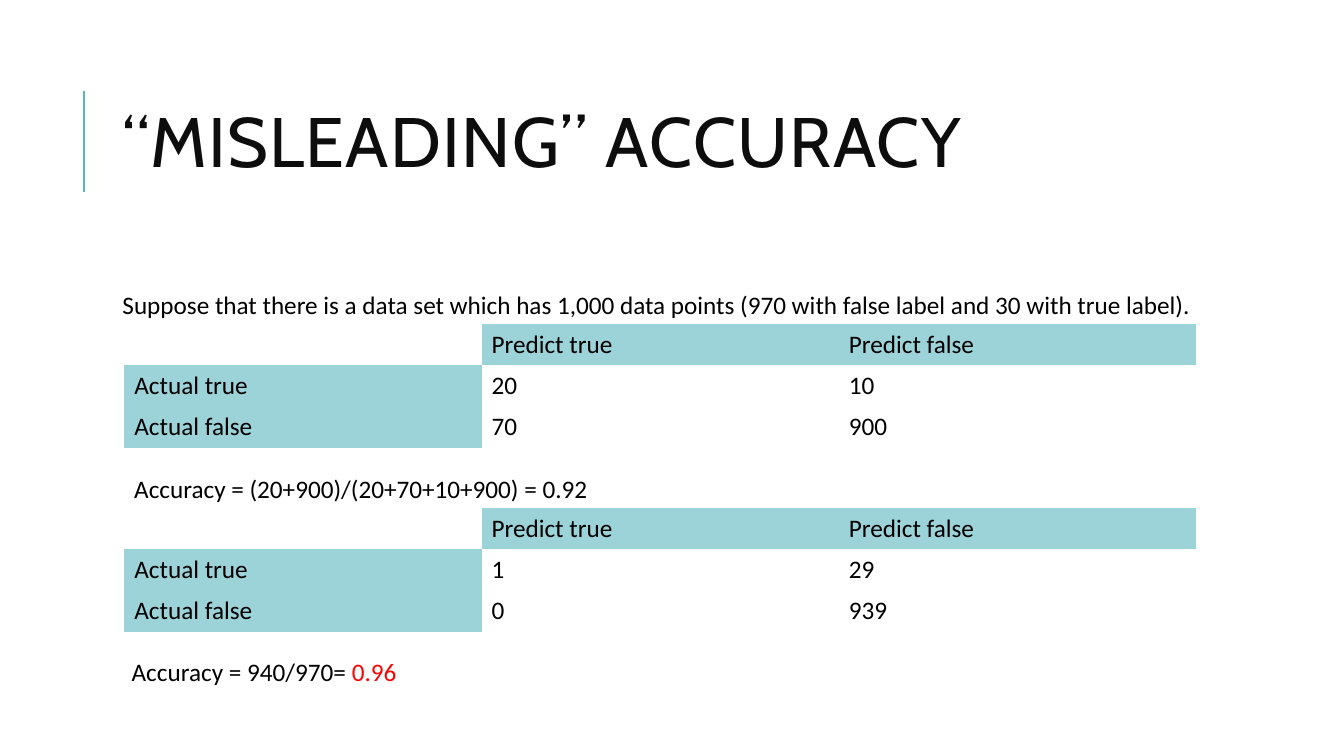
from dataclasses import dataclass

from lxml.etree import SubElement
from pptx import Presentation
from pptx.dml.color import RGBColor
from pptx.enum.shapes import MSO_CONNECTOR
from pptx.enum.text import MSO_ANCHOR
from pptx.oxml.ns import qn
from pptx.slide import Slide
from pptx.util import Inches, Pt

# Grid of 16 columns by 9 rows over the slide
SLIDE_W, SLIDE_H = Inches(13.333), Inches(7.5)
COLS, ROWS = 16, 9
TABLE_COL, TABLE_W, TABLE_ROW_H = 1.48, 12.76, 0.49
NO_STYLE_NO_GRID = "{2D5ABB26-0587-4C30-8999-92F81FD0307C}"

COLORS = {
    "title": "0D0D0D",
    "text": "000000",
    "alert": "FF0000",
    "accent": "58B6C0",
    "header": "9BD3D9",
}


@dataclass
class Label:
    col: float
    row: float
    width: float
    text: str
    alert: str = ""
    height: float = 0.48
    size: int = 18
    font: str = "Calibri"
    color: str = "text"
    spacing: int = 0
    line_spacing: float = 1.0


@dataclass
class ConfusionMatrix:
    row: float
    actual_true: tuple[int, int]
    actual_false: tuple[int, int]


TITLE = Label(1.34, 0.77, 12.76, "“MISLEADING” ACCURACY", height=1.97, size=50,
              font="Cabin", color="title", spacing=100, line_spacing=0.8)
LABELS = [
    TITLE,
    Label(1.34, 3.38, 13.39, "Suppose that there is a data set which has 1,000 data points "
          "(970 with false label and 30 with true label)."),
    Label(1.48, 5.57, 13.02, "Accuracy = (20+900)/(20+70+10+900) = 0.92"),
    Label(1.45, 7.75, 13.02, "Accuracy = 940/970= ", alert="0.96"),
]
MATRICES = [
    ConfusionMatrix(3.86, (20, 10), (70, 900)),
    ConfusionMatrix(6.05, (1, 29), (0, 939)),
]


def x(cols: float) -> int:
    return round(SLIDE_W * cols / COLS)


def y(rows: float) -> int:
    return round(SLIDE_H * rows / ROWS)


def rgb(name: str) -> RGBColor:
    return RGBColor.from_string(COLORS[name])


def add_label(s: Slide, label: Label) -> None:
    sp = s.shapes.add_textbox(x(label.col), y(label.row), x(label.width), y(label.height))
    tf = sp.text_frame
    tf.word_wrap = True
    tf.vertical_anchor = MSO_ANCHOR.MIDDLE if label is TITLE else MSO_ANCHOR.TOP
    p = tf.paragraphs[0]
    p.line_spacing = label.line_spacing
    p.font.size, p.font.name = Pt(label.size), label.font
    p.font.color.rgb = rgb(label.color)
    r = p.add_run()
    r.text = label.text
    if label.spacing:
        r._r.get_or_add_rPr().set("spc", str(label.spacing))
    if label.alert:
        r = p.add_run()
        r.text = label.alert
        r.font.color.rgb = rgb("alert")


def add_matrix(s: Slide, matrix: ConfusionMatrix) -> None:
    rows = [
        ("", "Predict true", "Predict false"),
        ("Actual true", *matrix.actual_true),
        ("Actual false", *matrix.actual_false),
    ]
    n = len(rows)
    frame = s.shapes.add_table(n, n, x(TABLE_COL), y(matrix.row),
                               x(TABLE_W), y(TABLE_ROW_H * n))
    table = frame.table
    table.first_row = table.horz_banding = False
    table._tbl.tblPr.find(qn("a:tableStyleId")).text = NO_STYLE_NO_GRID
    for i, values in enumerate(rows):
        for j, value in enumerate(values):
            cell = table.cell(i, j)
            cell.text = str(value)
            p = cell.text_frame.paragraphs[0]
            p.font.size, p.font.name = Pt(18), "Calibri"
            p.font.color.rgb = rgb("text")
            # Headers are the first row and first column, without the corner
            if (i == 0) != (j == 0):
                cell.fill.solid()
                cell.fill.fore_color.rgb = rgb("header")
            else:
                cell.fill.background()


def add_title_rule(s: Slide) -> None:
    rule = s.shapes.add_connector(MSO_CONNECTOR.STRAIGHT, x(1), y(2.28), x(1), y(1.08))
    rule.line.color.rgb = rgb("accent")
    rule.line.width = Pt(1.5)
    SubElement(rule._element.spPr, qn("a:effectLst"))


def main() -> None:
    prs = Presentation()
    prs.slide_width, prs.slide_height = SLIDE_W, SLIDE_H
    s = prs.slides.add_slide(prs.slide_layouts[6])
    add_title_rule(s)
    for matrix in MATRICES:
        add_matrix(s, matrix)
    for label in LABELS:
        add_label(s, label)
    prs.save("out.pptx")


if __name__ == "__main__":
    main()
